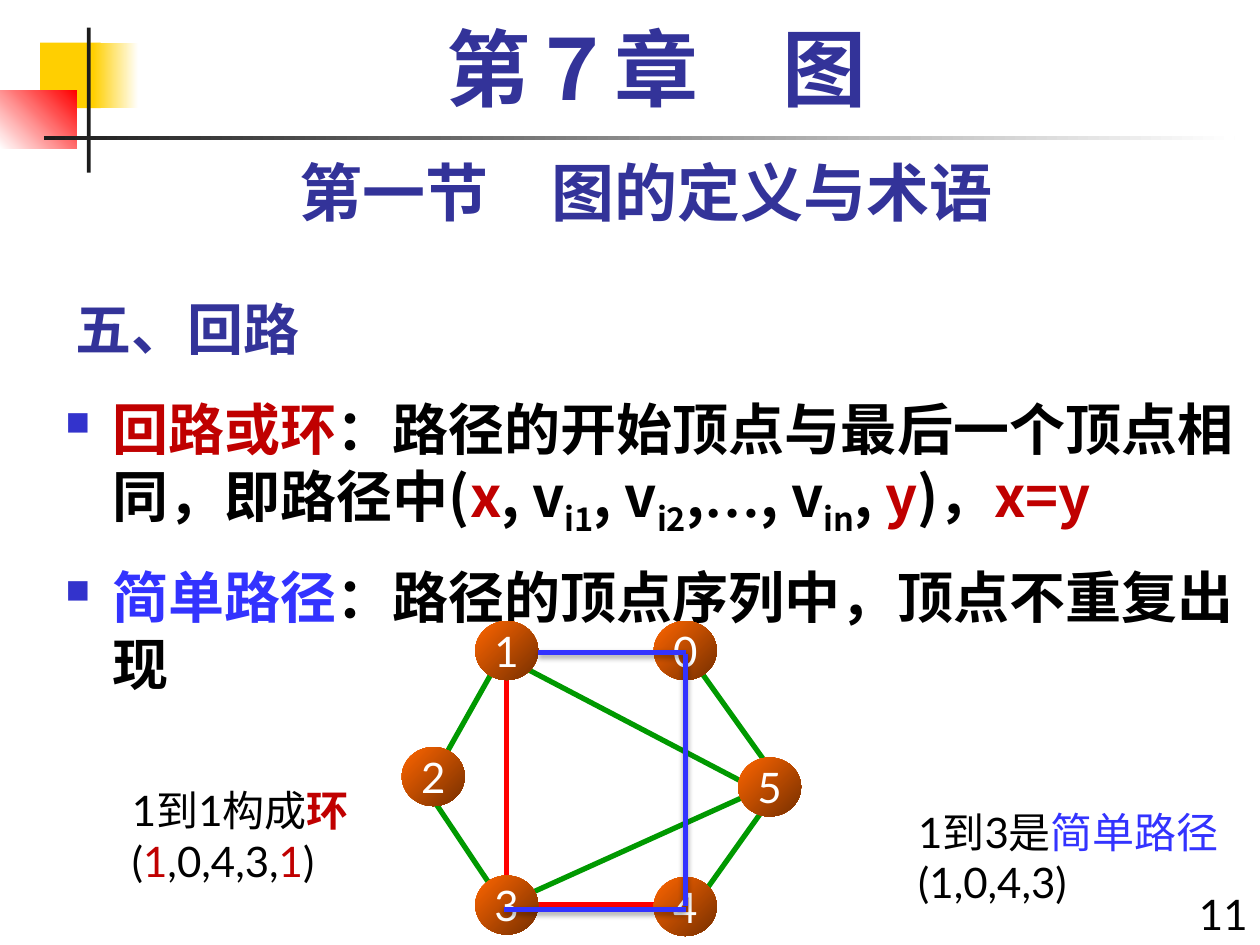
from lxml import etree
from pptx import Presentation
from pptx import util as u
from pptx.dml.color import RGBColor
from pptx.enum import shapes, text
from pptx.oxml import ns

CJK = "Noto Sans CJK SC"
COLORS = {
    "black": "000000", "white": "FFFFFF", "ink": "1C1C1C", "navy": "333399",
    "bullet": "3333CC", "crimson": "C00000", "blue": "3333FF", "red": "FF0000",
    "green": "009900", "yellow": "FFCF01", "orange": "FF6600", "brown": "762F00",
}
DECORATION = [
    ((0.81, 0.86, 1.22, 1.32), ["yellow"], 0),
    ((1.88, 0.86, 0.91, 1.32), ["yellow", "white"], 0),
    ((0, 1.83, 1.55, 1.17), ["white", "red"], 45),
    ((1.75, 0.56, 0.08, 2.92), ["ink"], 0),
    ((0.89, 2.74, 24, 0.08), ["ink", "white"], 0),
]
EDGES = [
    ((13.39, 13.16, 10.85, 13.16), "red"),
    ((13.82, 13.59, 13.82, 17.83), "red"),
    ((14.02, 13.39, 15.52, 15.49), "green"),
    ((10.01, 13.39, 8.94, 15.29), "green"),
    ((10.21, 18.03, 10.21, 13.59), "red"),
    ((15.29, 15.93, 10.44, 13.39), "green"),
    ((10.01, 18.03, 8.74, 16.13), "green"),
    ((13.61, 18.24, 10.44, 18.24), "red"),
    ((15.29, 15.93, 10.64, 18.03), "green"),
    ((15.52, 16.13, 14.02, 18.24), "green"),
]
SIMPLE_PATH = [
    (10.85, 13.16, 13.82, 13.16),
    (13.82, 13.18, 13.82, 18.26),
    (13.82, 18.34, 10.16, 18.34),
]
NODES = {
    "1": (9.58, 12.52), "3": (9.58, 17.65), "2": (8.1, 15.06),
    "5": (14.88, 15.27), "4": (13.18, 17.68), "0": (13.18, 12.52),
}
DEFINITIONS = [
    [("回路或环", "crimson"), ("：路径的开始顶点与最后一个顶点相同，即路径中(",),
     ("x", "crimson"), (", v",), ("i1", "black", "sub"), (", v",),
     ("i2", "black", "sub"), (",",), ("…", "black", "times"), (", v",),
     ("in", "black", "sub"), (", ",), ("y", "crimson"), (")，",), ("x=y", "crimson")],
    [("简单路径", "blue"), ("：路径的顶点序列中，顶点不重复出现",)],
]
CYCLE_NOTE = [("1到1构成",), ("环", "crimson", "bold"), ("(",), ("1", "crimson"),
              (",0,4,3,",), ("1", "crimson"), (")",)]
PATH_NOTE = [("1到3是",), ("简单路径", "blue"), ("(1,0,4,3)",)]


def rgb(name):
    """Return the named colour."""
    return RGBColor.from_string(COLORS[name])


def child(parent, tag, **attributes):
    """Append a DrawingML element."""
    return etree.SubElement(parent, ns.qn("a:" + tag), attributes)


def paint(shape, names, angle=0):
    """Fill a shape with one colour or a two-colour gradient."""
    shape.shadow.inherit = False
    shape.line.fill.background()
    if len(names) == 1:
        shape.fill.solid()
        shape.fill.fore_color.rgb = rgb(names[0])
        return
    shape.fill.gradient()
    shape.fill.gradient_angle = angle
    for stop, position, name in zip(shape.fill.gradient_stops, (0, 1), names):
        stop.position = position
        stop.color.rgb = rgb(name)


def add_block(page, kind, area, names, angle=0):
    """Add a painted preset shape."""
    block = page.shapes.add_shape(kind, *map(u.Cm, area))
    paint(block, names, angle)
    return block


def style(para, size, font="Lato", color=None, bold=False):
    """Set the font that the whole paragraph shares."""
    para.font.size = u.Pt(size)
    para.font.bold = bold
    para.font.name = font
    child(para.font._element, "ea", typeface=CJK)
    if color:
        para.font.color.rgb = rgb(color)


def add_span(para, words, color="black", look=None):
    """Add a coloured run, optionally bold, subscript or in Times."""
    span = para.add_run()
    span.text = words
    span.font.color.rgb = rgb(color)
    if look == "bold":
        span.font.bold = True
    elif look == "times":
        span.font.name = "Times New Roman"
    elif look == "sub":
        span.font._element.set("baseline", "-25000")


def add_box(page, area, anchor=text.MSO_ANCHOR.TOP):
    """Add a wrapping text box and return its frame."""
    frame = page.shapes.add_textbox(*map(u.Cm, area)).text_frame
    frame.word_wrap = True
    frame.vertical_anchor = anchor
    return frame


def add_label(page, area, words, size, align=text.PP_ALIGN.LEFT,
              anchor=text.MSO_ANCHOR.TOP, spacing=1.0, **font):
    """Add a single-paragraph box in one style."""
    para = add_box(page, area, anchor).paragraphs[0]
    para.text = words
    para.alignment = align
    para.line_spacing = spacing
    style(para, size, **font)


def add_note(page, area, spans):
    """Add a small box of coloured runs."""
    para = add_box(page, area).paragraphs[0]
    style(para, 24)
    for span in spans:
        add_span(para, *span)


def add_definitions(page, area):
    """Add the bulleted definitions."""
    frame = add_box(page, area)
    for index, spans in enumerate(DEFINITIONS):
        para = frame.add_paragraph() if index else frame.paragraphs[0]
        properties = para._p.get_or_add_pPr()
        properties.set("marL", str(u.Cm(0.95)))
        properties.set("indent", str(u.Cm(-0.95)))
        child(child(properties, "buClr"), "srgbClr", val=COLORS["bullet"])
        child(properties, "buSzPct", val="60000")
        child(properties, "buChar", char="■")
        if index:
            para.space_before = u.Pt(14)
        style(para, 32, CJK, bold=True)
        for span in spans:
            add_span(para, *span)


def add_line(page, ends, color, shadow=False):
    """Add a straight line, with a soft shadow if wanted."""
    line = page.shapes.add_connector(shapes.MSO_CONNECTOR.STRAIGHT, *map(u.Cm, ends))
    line.line.color.rgb = rgb(color)
    line.line.width = u.Pt(3)
    effects = child(line._element.spPr, "effectLst")
    if shadow:
        outer = child(effects, "outerShdw", blurRad=str(u.Pt(3.1)), dist=str(u.Pt(1.8)),
                      dir="5400000", rotWithShape="0")
        child(child(outer, "srgbClr", val=COLORS["black"]), "alpha", val="35000")


def add_node(page, name, corner):
    """Add a numbered graph vertex."""
    node = add_block(page, shapes.MSO_SHAPE.OVAL, (*corner, 1.27, 1.19),
                     ["orange", "brown"], 315)
    frame = node.text_frame
    frame.margin_left = frame.margin_right = 0
    frame.word_wrap = False
    frame.vertical_anchor = text.MSO_ANCHOR.MIDDLE
    para = frame.paragraphs[0]
    para.text = name
    para.alignment = text.PP_ALIGN.CENTER
    style(para, 24, color="white")


def main():
    """Build the slide on cycles and simple paths."""
    deck = Presentation()
    deck.slide_width, deck.slide_height = u.Cm(25.4), u.Cm(19.05)
    page = deck.slides.add_slide(deck.slide_layouts[6])
    align = text.PP_ALIGN
    for area, names, angle in DECORATION:
        add_block(page, shapes.MSO_SHAPE.RECTANGLE, area, names, angle)
    add_label(page, (1.27, 5.51, 15.88, 1.9), "五、回路", 32, font=CJK,
              anchor=text.MSO_ANCHOR.BOTTOM, color="navy", bold=True)
    add_label(page, (23.7, 17.78, 1.7, 1.27), "11", 24, align.RIGHT, color="black")
    add_label(page, (1.27, 2.97, 23.5, 1.78), "第一节　图的定义与术语", 36,
              align.CENTER, color="navy", bold=True)
    add_definitions(page, (1.07, 7.82, 24.33, 11.23))
    add_label(page, (1.7, 0.43, 23.06, 2.11), "第７章　图", 48, align.CENTER,
              spacing=0.9, font="Times New Roman", color="navy", bold=True)
    for ends, color in EDGES:
        add_line(page, ends, color)
    for name, corner in NODES.items():
        add_node(page, name, corner)
    add_note(page, (2.41, 15.7, 5.08, 2.31), CYCLE_NOTE)
    add_note(page, (18.26, 16.13, 6.98, 2.31), PATH_NOTE)
    for ends in SIMPLE_PATH:
        add_line(page, ends, "blue", shadow=True)
    deck.save("out.pptx")


if __name__ == "__main__":
    main()
